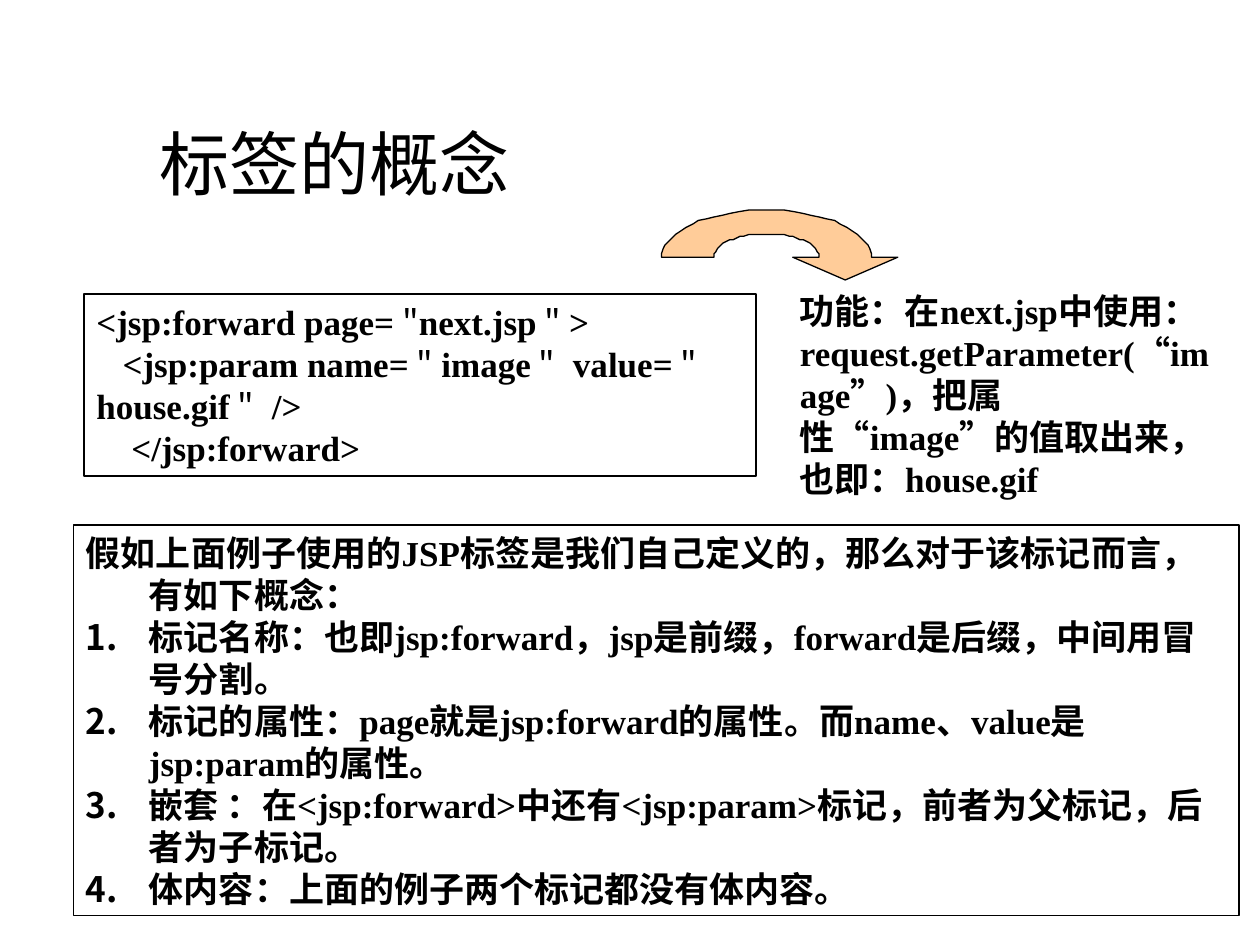
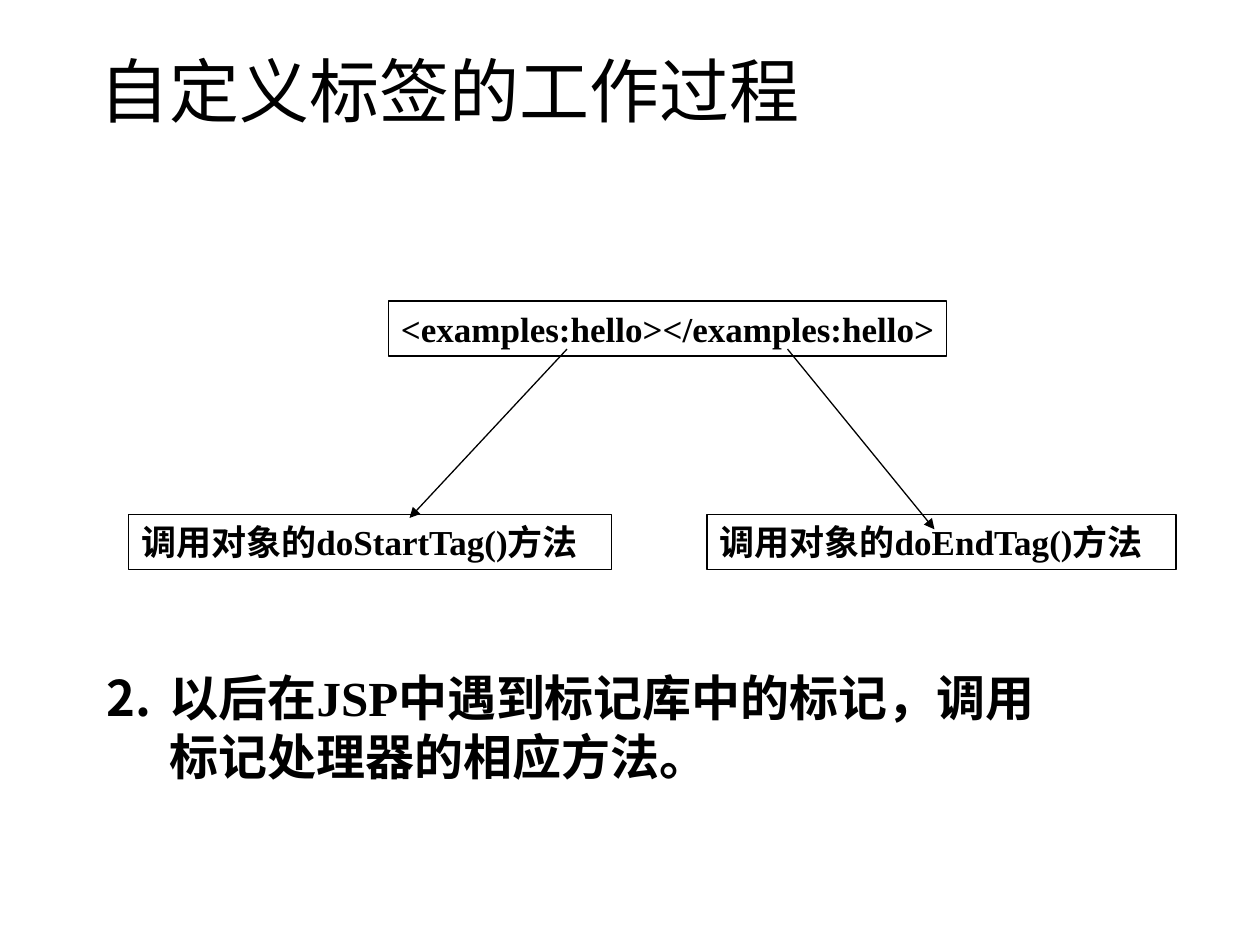
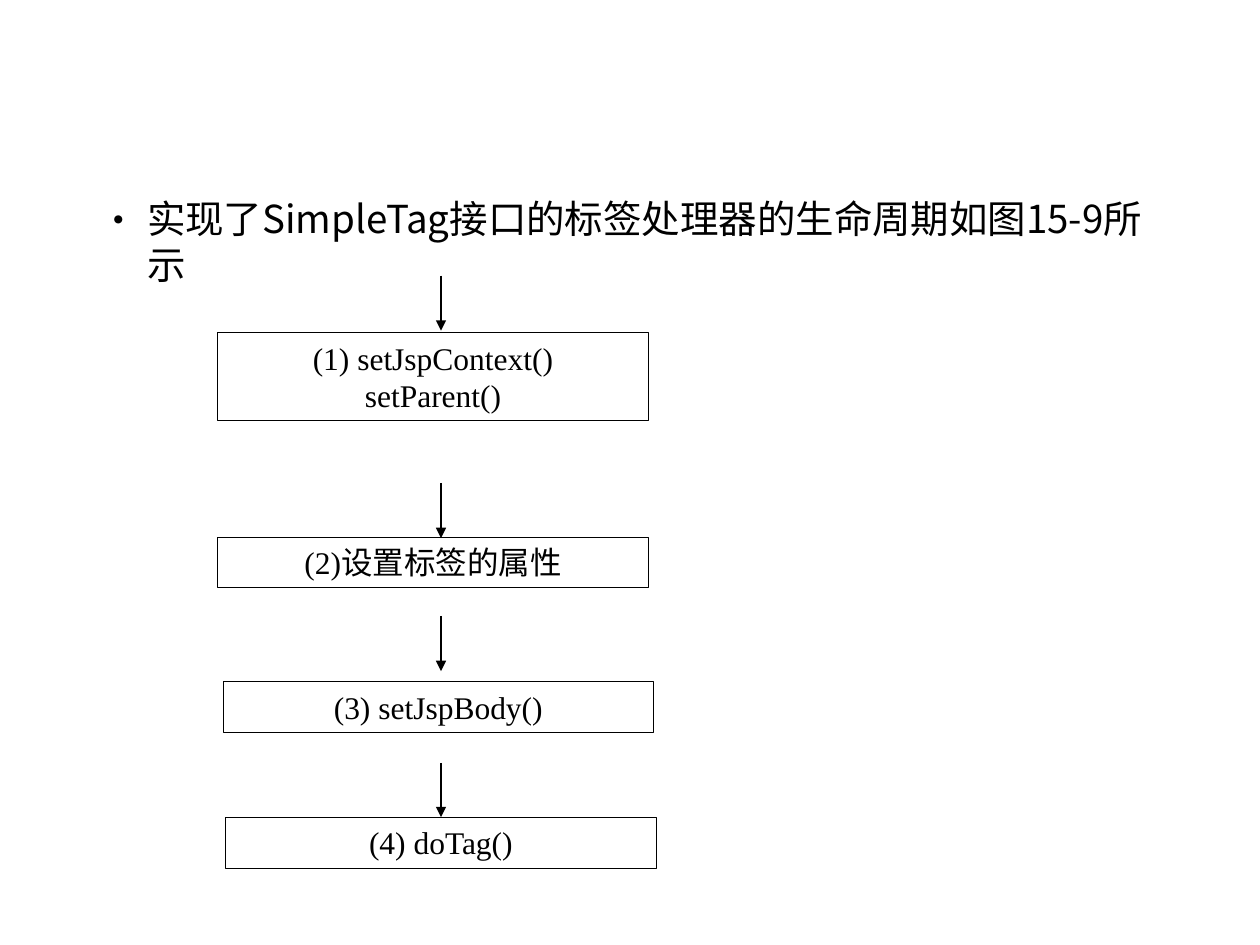
import math
from lxml import etree
from pptx import Presentation
from pptx.dml.color import RGBColor
from pptx.enum import shapes, text
from pptx.oxml import ns
from pptx.util import Pt

SANS, SERIF = "Noto Sans CJK SC", "Times New Roman"
BLACK, WHITE, PEACH = "000000", "FFFFFF", "FFCC99"

# Content: within a paragraph given as a list, every second part is a quote mark
FORWARD_CODE = [
    ["<jsp:forward page=", ' "', "next.jsp", ' " ', ">"],
    ["   <jsp:param name=", ' " ', "image", ' "', "  value=", ' " ',
     "house.gif", ' "', "  />"],
    "    </jsp:forward>",
]
FUNCTION_NOTE = [
    "功能：在next.jsp中使用：",
    "request.getParameter(“image”)，把属性“image”的值取出来，也即：house.gif",
]
CONCEPT_INTRO = "假如上面例子使用的JSP标签是我们自己定义的，那么对于该标记而言，有如下概念："
CONCEPTS = [
    "标记名称：也即jsp:forward，jsp是前缀，forward是后缀，中间用冒号分割。",
    "标记的属性：page就是jsp:forward的属性。而name、value是jsp:param的属性。",
    "嵌套 ：在<jsp:forward>中还有<jsp:param>标记，前者为父标记，后者为子标记。",
    "体内容：上面的例子两个标记都没有体内容。",
]
# Text, left, top, width
TAG_BOXES = [
    ("<examples:hello></examples:hello>", 222, 172, 319),
    ("调用对象的doStartTag()方法", 73.5, 294, 276),
    ("调用对象的doEndTag()方法", 404, 294, 268),
]
CALL_ARROWS = [((324, 199.5), (234, 296)), ((450, 199.5), (534, 302.5))]
HANDLER_STEP = "以后在JSP中遇到标记库中的标记，调用标记处理器的相应方法。"
LIFE_CYCLE = "实现了SimpleTag接口的标签处理器的生命周期如图15-9所示"
# Paragraphs, left, top, height, top of the arrow above
LIFE_STEPS = [
    (["(1) setJspContext()", "setParent()"], 124.5, 190, 50.5, 157.5),
    (["(2)设置标签的属性"], 124.5, 307, 29, 276),
    (["(3) setJspBody()"], 127.5, 389.5, 29, 352),
    (["(4) doTag()"], 129, 467, 29, 436),
]
STEP_WIDTH, ARROW_X, ARROW_LENGTH = 246, 252, 31.5


def color(value):
    return RGBColor.from_string(value)


def points(*values):
    return [Pt(value) for value in values]


def set_font(run, size, name, bold):
    font = run.font
    font.size, font.name, font.bold = Pt(size), name, bold
    font.color.rgb = color(BLACK)
    east_asian = etree.SubElement(run._r.get_or_add_rPr(), ns.qn("a:ea"))
    east_asian.set("typeface", SANS)


def set_indent(paragraph, indent, marker=None):
    """Hang the paragraph; marker is a bullet character or a start number."""
    properties = paragraph._p.get_or_add_pPr()
    properties.set("marL", str(Pt(indent)))
    properties.set("indent", str(-Pt(indent)))
    if marker is None:
        return
    etree.SubElement(properties, ns.qn("a:buFont")).set("typeface", SANS)
    if isinstance(marker, str):
        etree.SubElement(properties, ns.qn("a:buChar")).set("char", marker)
    else:
        number = etree.SubElement(properties, ns.qn("a:buAutoNum"))
        number.set("type", "arabicPeriod")
        number.set("startAt", str(marker))


def write(shape, paragraphs, size, name=SERIF, bold=False, align="LEFT",
          anchor="TOP", wrap=True):
    frame = shape.text_frame
    frame.word_wrap = wrap
    frame.vertical_anchor = getattr(text.MSO_ANCHOR, anchor)
    for index, parts in enumerate(paragraphs):
        paragraph = frame.add_paragraph() if index else frame.paragraphs[0]
        paragraph.alignment = getattr(text.PP_ALIGN, align)
        for position, part in enumerate([parts] if isinstance(parts, str) else parts):
            run = paragraph.add_run()
            run.text = part
            quote = position % 2 == 1
            set_font(run, size, SANS if quote else name, bold and not quote)
    return frame.paragraphs


def paint(shape, fill, width):
    shape.shadow.inherit = False
    if fill:
        shape.fill.solid()
        shape.fill.fore_color.rgb = color(fill)
    else:
        shape.fill.background()
    shape.line.color.rgb = color(BLACK)
    shape.line.width = Pt(width)


def add_text(slide, area, paragraphs, size, **style):
    return write(slide.shapes.add_textbox(*points(*area)), paragraphs, size, **style)


def add_box(slide, area, fill=None, width=0.75):
    box = slide.shapes.add_shape(shapes.MSO_SHAPE.RECTANGLE, *points(*area))
    paint(box, fill, width)
    return box


def add_title(slide, area, title):
    add_text(slide, area, [title], 40, name=SANS, anchor="MIDDLE")


def add_arrow(slide, start, end):
    arrow = slide.shapes.add_connector(
        shapes.MSO_CONNECTOR.STRAIGHT, *points(*start, *end))
    arrow.line.color.rgb = color(BLACK)
    arrow.line.width = Pt(0.75)
    tail = etree.SubElement(arrow.line._get_or_add_ln(), ns.qn("a:tailEnd"))
    tail.set("type", "triangle")
    etree.SubElement(arrow._element.spPr, ns.qn("a:effectLst"))
    return arrow


def half_ellipse(center, radii, angles):
    return [(center[0] + radii[0] * math.cos(math.radians(angle)),
             center[1] - radii[1] * math.sin(math.radians(angle)))
            for angle in angles]


def add_bent_arrow(slide, center, radii):
    x, y = center
    half_x, half_y = radii[0] / 2, radii[1] / 2
    outline = half_ellipse(center, (half_x, half_y), range(0, 181, 5))
    outline += half_ellipse(center, radii, range(180, -1, -5))
    outline += [(x + 2.5 * half_x, y), (x + 1.5 * half_x, y + half_y),
                (x + half_x / 2, y)]
    builder = slide.shapes.build_freeform(*outline[0], scale=Pt(1))
    builder.add_line_segments(outline[1:], close=True)
    paint(builder.convert_to_shape(), PEACH, 0.75)


def build_concept_slide(slide):
    add_title(slide, (84, 48, 576, 90), "标签的概念")
    write(add_box(slide, (48, 168, 384, 104)), FORWARD_CODE, 20, bold=True)
    add_bent_arrow(slide, (438, 147), (60, 27))
    concept_box = add_box(slide, (42, 300, 666, 223))
    intro, *items = write(concept_box, [CONCEPT_INTRO] + CONCEPTS, 20, bold=True)
    set_indent(intro, 36)
    for item in items:
        set_indent(item, 36, 1)
    add_text(slide, (450, 162, 258, 104), FUNCTION_NOTE, 20, bold=True)


def build_process_slide(slide):
    add_title(slide, (50, 6, 612, 90), "自定义标签的工作过程")
    for label, left, top, width in TAG_BOXES:
        box = add_box(slide, (left, top, width, 31.5))
        write(box, [label], 20, bold=True, wrap=False)
    for start, end in CALL_ARROWS:
        add_arrow(slide, start, end)
    step = add_text(slide, (54, 378, 570, 108), [HANDLER_STEP], 28, bold=True)
    set_indent(step[0], 36, 2)


def build_life_cycle_slide(slide):
    body = add_text(slide, (50, 108, 612, 372), [LIFE_CYCLE], 22, name=SANS)
    set_indent(body[0], 27, "•")
    for lines, left, top, height, arrow_top in LIFE_STEPS:
        box = add_box(slide, (left, top, STEP_WIDTH, height), WHITE, 0.5)
        write(box, lines, 18, align="CENTER")
        arrow = add_arrow(slide, (ARROW_X, arrow_top),
                          (ARROW_X, arrow_top + ARROW_LENGTH))
        if left + STEP_WIDTH / 2 == ARROW_X:
            arrow.end_connect(box, 0)


def main():
    presentation = Presentation()
    presentation.slide_width, presentation.slide_height = points(720, 540)
    for build in (build_concept_slide, build_process_slide, build_life_cycle_slide):
        build(presentation.slides.add_slide(presentation.slide_layouts[6]))
    presentation.save("out.pptx")


if __name__ == "__main__":
    main()
